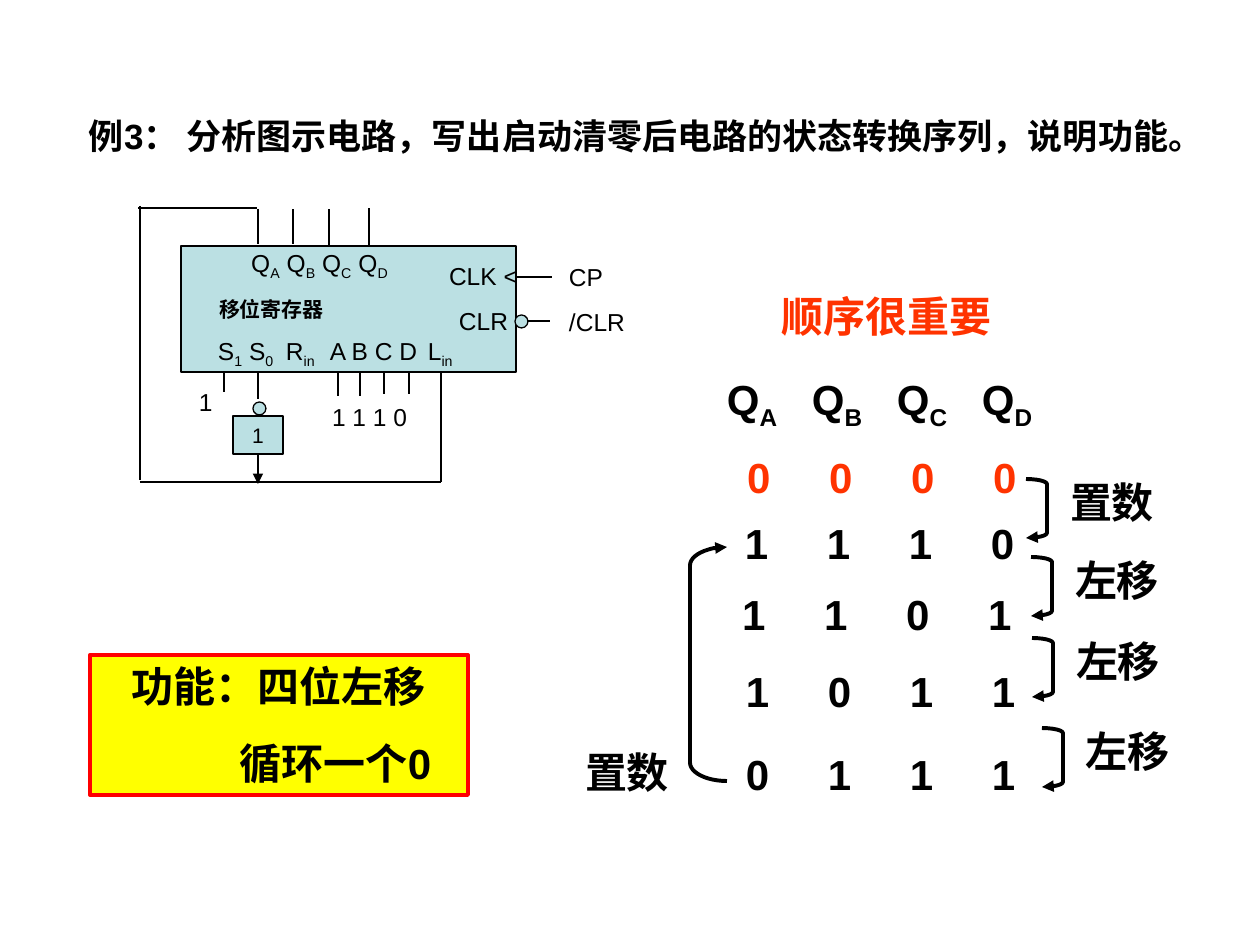
from lxml import etree
from pptx import Presentation
from pptx.dml.color import RGBColor
from pptx.enum.shapes import MSO_CONNECTOR, MSO_SHAPE
from pptx.enum.text import MSO_ANCHOR, MSO_AUTO_SIZE, PP_ALIGN
from pptx.oxml.ns import qn
from pptx.util import Pt

PX = 914400 / 126
LEFT, MID = PP_ALIGN.LEFT, PP_ALIGN.CENTER
TOP, MIDDLE = MSO_ANCHOR.TOP, MSO_ANCHOR.MIDDLE
RECT, OVAL = MSO_SHAPE.RECTANGLE, MSO_SHAPE.OVAL
OPEN, CLOSE = MSO_SHAPE.LEFT_BRACKET, MSO_SHAPE.RIGHT_BRACKET
LINE = MSO_CONNECTOR.STRAIGHT
FIXED = MSO_AUTO_SIZE.NONE
HEX = {"ink": "000000", "chip": "BBE0E3", "note": "FF3300",
       "fill": "FFFF00", "edge": "FF0000"}
INK = {name: RGBColor.from_string(code) for name, code in HEX.items()}


def write(shape, lines, size, bold=False, align=MID, color="ink", pad=13, side=13, tabs=()):
    """Fill a shape with text; parts between underscores are subscripts."""
    frame = shape.text_frame
    frame.word_wrap, frame.auto_size = True, FIXED
    frame.vertical_anchor = TOP
    frame.margin_left, frame.margin_right = int(pad * PX), int(side * PX)
    frame.margin_top = frame.margin_bottom = int(6 * PX)
    for i, line in enumerate(lines):
        para = frame.paragraphs[0] if i == 0 else frame.add_paragraph()
        para.alignment = align
        para.space_before = Pt(size * 0.625)
        font = para.font
        font.name, font.size, font.bold = "Arial", Pt(size), bold
        font.color.rgb = INK[color]
        for j, part in enumerate(line.split("_")):
            if part:
                run = para.add_run()
                run.text = part
                if j % 2:
                    run.font._element.set("baseline", "-25000")
        if tabs:
            stops = etree.Element(qn("a:tabLst"))
            for pos in tabs:
                etree.SubElement(stops, qn("a:tab"), pos=str(int(pos * PX)), algn="l")
            para._p.get_or_add_pPr().find(qn("a:defRPr")).addprevious(stops)


def draw(kind, box, fill=None, edge="ink", width=0.75):
    """Add a preset shape without a shadow."""
    shape = slide.shapes.add_shape(kind, *[int(n * PX) for n in box])
    shape.shadow.inherit = False
    if fill:
        shape.fill.solid()
        shape.fill.fore_color.rgb = INK[fill]
    else:
        shape.fill.background()
    shape.line.color.rgb, shape.line.width = INK[edge], Pt(width)
    return shape


deck = Presentation()
deck.slide_width, deck.slide_height = int(1260 * PX), int(945 * PX)
slide = deck.slides.add_slide(deck.slide_layouts[5])

# Title
title = slide.shapes.title
title.left, title.top, title.width, title.height = [int(n * PX) for n in (76, 108, 1145, 55)]
write(title, ["例3： 分析图示电路，写出启动清零后电路的状态转换序列，说明功能。"], 20, True, LEFT)

# Shift register, inverter and their bubbles
draw(RECT, (181, 246, 335, 126), "chip")
draw(OVAL, (515, 315, 13, 13), "chip")
gate = draw(RECT, (233, 416, 50, 38), "chip")
write(gate, ["1"], 12)
gate.text_frame.vertical_anchor = MIDDLE
draw(OVAL, (253, 402, 13, 13), "chip")

# Wires
wires = [
    (515, 277, 552, 277), (528, 321, 550, 321),
    (258, 244, 258, 209), (293, 244, 293, 209), (329, 246, 329, 209), (369, 246, 369, 208),
    (257, 208, 138, 208), (140, 206, 140, 480), (140, 482, 441, 482), (441, 373, 441, 482),
    (258, 373, 258, 399), (224, 372, 224, 392),
    (338, 372, 338, 396), (360, 373, 360, 396), (384, 372, 384, 394), (409, 373, 409, 394),
    (258, 454, 258, 484),
]
for ends in wires:
    wire = slide.shapes.add_connector(LINE, *[int(n * PX) for n in ends])
    wire.line.color.rgb, wire.line.width = INK["ink"], Pt(0.75)
    etree.SubElement(wire._element.spPr, qn("a:effectLst"))

# The last wire is the inverter output
wire.begin_connect(gate, 2)
etree.SubElement(wire.line._get_or_add_ln(), qn("a:tailEnd"), type="triangle")

# Labels: box, lines, size and format
shift = range(82, 247, 82)
row = {"bold": True, "align": LEFT, "tabs": shift}
bold = {"bold": True}
labels = [
    ((154, 330, 368, 47), ["S_1_ S_0_\tR_in_\tA B C D\tL_in_"], 14,
     {"align": LEFT, "pad": 64, "tabs": (68, 112, 210)}),
    ((448, 255, 71, 87), ["CLK <", "CLR"], 14, {"pad": 0, "side": 0}),
    ((215, 242, 209, 47), ["Q_A_ Q_B_ Q_C_ Q_D_"], 14, {}),
    ((186, 381, 39, 43), ["1"], 14, {}),
    ((319, 396, 107, 43), ["1 1 1 0"], 14, {"align": LEFT}),
    ((556, 256, 93, 87), ["CP", "/CLR"], 14, {"align": LEFT}),
    ((199, 291, 145, 38), ["移位寄存器"], 12, bold),
    ((765, 285, 244, 63), ["顺序很重要"], 24, {"bold": True, "color": "note"}),
    ((667, 368, 430, 71), ["Q_A_\tQ_B_\tQ_C_\tQ_D_"], 24,
     {"bold": True, "align": LEFT, "pad": 60, "tabs": range(85, 256, 85)}),
    ((722, 446, 319, 63), ["0\t0\t0\t0"], 24, {**row, "color": "note", "pad": 25}),
    ((726, 512, 306, 63), ["1\t1\t1\t0"], 24, {**row, "pad": 19}),
    ((723, 583, 306, 63), ["1\t1\t0\t1"], 24, {**row, "pad": 19}),
    ((727, 660, 306, 63), ["1\t0\t1\t1"], 24, {**row, "pad": 19}),
    ((727, 743, 306, 63), ["0\t1\t1\t1"], 24, {**row, "pad": 19}),
    ((566, 741, 122, 63), ["置数"], 24, bold),
]

# Step brackets, each with its label beside it
arcs = [(OPEN, (690, 547, 37, 234), 0.5)]
steps = [(1026, 479, "置数"), (1031, 557, "左移"), (1032, 638, "左移"), (1042, 728, "左移")]
for x, y, word in steps:
    arcs.append((CLOSE, (x, y, 21, 59), 0.24))
    labels.append(((x + 25, y - 8, 122, 63), [word], 24, bold))
for kind, box, bend in arcs:
    arc = draw(kind, box, width=2.25)
    arc.adjustments[0] = bend
    etree.SubElement(arc.line._get_or_add_ln(), qn("a:tailEnd"), type="triangle")

for box, lines, size, look in labels:
    write(slide.shapes.add_textbox(*[int(n * PX) for n in box]), lines, size, **look)

# Function summary
card = draw(RECT, (90, 655, 378, 140), "fill", "edge", 2.25)
write(card, ["功能：四位左移", "循环一个0"], 24, True)
last = card.text_frame.paragraphs[1]
last.alignment = LEFT
last._p.get_or_add_pPr().set("marL", str(int(137 * PX)))

deck.save("out.pptx")
